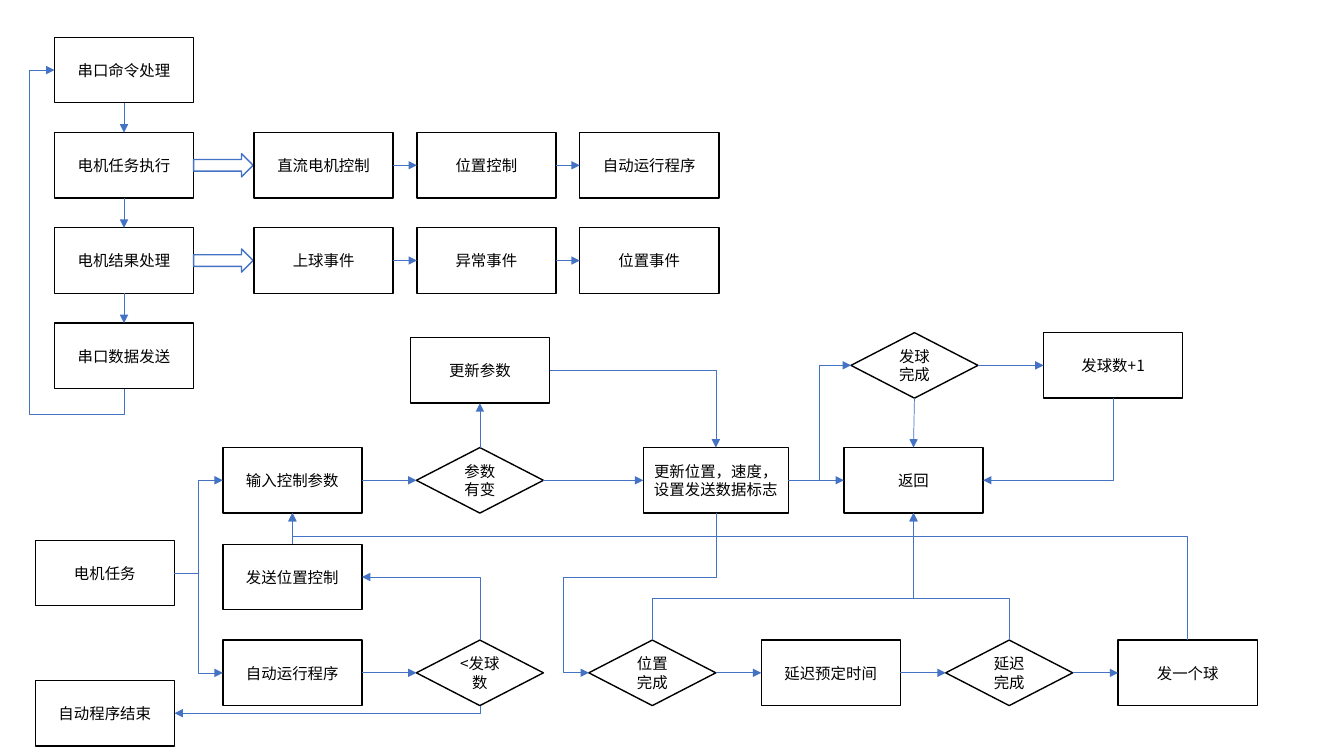
from dataclasses import dataclass

from lxml import etree
from pptx import Presentation
from pptx.dml.color import RGBColor
from pptx.enum.shapes import MSO_CONNECTOR, MSO_SHAPE
from pptx.enum.text import MSO_ANCHOR, PP_ALIGN
from pptx.oxml.ns import qn
from pptx.util import Inches, Pt

RECT, DIAMOND, BLOCK_ARROW = MSO_SHAPE.RECTANGLE, MSO_SHAPE.DIAMOND, MSO_SHAPE.RIGHT_ARROW
STRAIGHT, ELBOW = MSO_CONNECTOR.STRAIGHT, MSO_CONNECTOR.ELBOW
MIDDLE, CENTER = MSO_ANCHOR.MIDDLE, PP_ALIGN.CENTER
TOP, LEFT, BOTTOM, RIGHT = range(4)


@dataclass
class Theme:
    font: str = "Noto Sans CJK SC"
    size: float = 11
    text: str = "000000"
    fill: str = "FFFFFF"
    outline: str = "000000"
    flow: str = "4472C4"
    outline_width: float = 1
    flow_width: float = 0.5


def apply(obj, values):
    for name, value in values.items():
        setattr(obj, name, value)


def site(sp, side):
    dx, dy = {TOP: (1, 0), LEFT: (0, 1), BOTTOM: (1, 2), RIGHT: (2, 1)}[side]
    return sp.left + sp.width * dx // 2, sp.top + sp.height * dy // 2


class FlowSlide:
    def __init__(self, slide, theme):
        self.slide = slide
        self.theme = theme

    def stroke(self, line, color, width):
        line.color.rgb = RGBColor.from_string(color)
        line.width = Pt(width)

    def shape(self, kind, x, y, w, h, color):
        sp = self.slide.shapes.add_shape(kind, Inches(x), Inches(y), Inches(w), Inches(h))
        sp.shadow.inherit = False
        sp.fill.solid()
        sp.fill.fore_color.rgb = RGBColor.from_string(self.theme.fill)
        self.stroke(sp.line, color, self.theme.outline_width)
        return sp

    def node(self, text, x, y, w=1.38, kind=RECT):
        sp = self.shape(kind, x, y, w, 0.65, self.theme.outline)
        tf = sp.text_frame
        apply(tf, {"word_wrap": True, "vertical_anchor": MIDDLE})
        p = tf.paragraphs[0]
        p.alignment = CENTER
        r = p.add_run()
        r.text = text
        apply(r.font, {"name": self.theme.font, "size": Pt(self.theme.size)})
        r.font.color.rgb = RGBColor.from_string(self.theme.text)
        etree.SubElement(r._r.get_or_add_rPr(), qn("a:ea"), typeface=self.theme.font)
        return sp

    def decision(self, text, x, y):
        return self.node(text, x, y, 1.26, DIAMOND)

    def block_arrow(self, x, y):
        return self.shape(BLOCK_ARROW, x, y, 0.59, 0.23, self.theme.flow)

    def connector(self, kind, start, end):
        cxn = self.slide.shapes.add_connector(kind, *start, *end)
        self.stroke(cxn.line, self.theme.flow, self.theme.flow_width)
        etree.SubElement(cxn.line._get_or_add_ln(), qn("a:tailEnd"), type="triangle")
        etree.SubElement(cxn._element.spPr, qn("a:effectLst"))
        return cxn

    def arrow(self, a, b, sides=(RIGHT, LEFT)):
        cxn = self.connector(STRAIGHT, site(a, sides[0]), site(b, sides[1]))
        cxn.begin_connect(a, sides[0])
        cxn.end_connect(b, sides[1])

    def elbow(self, a, b, sides, bends=3, turn=0, adj=()):
        (x1, y1), (x2, y2) = start, end = site(a, sides[0]), site(b, sides[1])
        cxn = self.connector(ELBOW, start, end)
        dx, dy = x2 - x1, y2 - y1
        u, v = {0: (dx, dy), 90: (dy, -dx), 270: (-dy, dx)}[turn]
        apply(cxn, {
            "left": (x1 + x2 - abs(u)) // 2, "top": (y1 + y2 - abs(v)) // 2,
            "width": abs(u), "height": abs(v),
        })
        xfrm = cxn._element.spPr.find(qn("a:xfrm"))
        for name, value in {"rot": turn * 60000, "flipH": int(u < 0), "flipV": int(v < 0)}.items():
            xfrm.set(name, str(value))
        geom = cxn._element.spPr.find(qn("a:prstGeom"))
        geom.set("prst", f"bentConnector{bends}")
        guides = geom.find(qn("a:avLst"))
        for i, share in enumerate(adj, 1):
            name = "adj" if bends == 3 else f"adj{i}"
            name = "adj1" if name == "adj" else name
            etree.SubElement(guides, qn("a:gd"), name=name, fmla=f"val {round(share * 100000)}")


prs = Presentation()
apply(prs, {"slide_width": Inches(13.33), "slide_height": Inches(7.5)})
fs = FlowSlide(prs.slides.add_slide(prs.slide_layouts[6]), Theme())

ROWS = [0.37 + 0.945 * i for i in range(4)]
COLS = [2.52 + 1.615 * i for i in range(3)]
PARAM_Y, AUTO_Y, SHOT_Y = 4.44, 6.35, 3.3
INPUT_X, CHECK_X = 2.21, 4.13

loop = [fs.node(text, 0.54, y)
        for text, y in zip(["串口命令处理", "电机任务执行", "电机结果处理", "串口数据发送"], ROWS)]
for a, b in zip(loop, loop[1:]):
    fs.arrow(a, b, (BOTTOM, TOP))
fs.elbow(loop[-1], loop[0], (BOTTOM, LEFT), 4, 90, (-0.08, 1.36))

DETAILS = [["直流电机控制", "位置控制", "自动运行程序"], ["上球事件", "异常事件", "位置事件"]]
for y, texts in zip(ROWS[1:], DETAILS):
    fs.block_arrow(1.92, y + 0.21)
    chain = [fs.node(text, x, y) for text, x in zip(texts, COLS)]
    for a, b in zip(chain, chain[1:]):
        fs.arrow(a, b)

task = fs.node("电机任务", 0.35, 5.36)
finish = fs.node("自动程序结束", 0.35, 6.75)
inputs = fs.node("输入控制参数", INPUT_X, PARAM_Y)
send = fs.node("发送位置控制", INPUT_X, 5.4)
auto = fs.node("自动运行程序", INPUT_X, AUTO_Y)
changed = fs.decision("参数有变", CHECK_X, PARAM_Y)
fewer = fs.decision("<发球数", CHECK_X, AUTO_Y)
renew = fs.node("更新参数", 4.07, 3.35)
update = fs.node("更新位置，速度，设置发送数据标志", 6.38, PARAM_Y, 1.44)
back = fs.node("返回", 8.37, PARAM_Y)
shot = fs.decision("发球完成", 8.44, SHOT_Y)
count = fs.node("发球数+1", 10.35, SHOT_Y)
placed = fs.decision("位置完成", 5.84, AUTO_Y)
wait = fs.node("延迟预定时间", 7.55, AUTO_Y)
waited = fs.decision("延迟完成", 9.38, AUTO_Y)
serve = fs.node("发一个球", 11.09, AUTO_Y)

for a, b in [(inputs, changed), (changed, update), (update, back), (auto, fewer),
             (placed, wait), (wait, waited), (waited, serve), (shot, count)]:
    fs.arrow(a, b)
for a, b, sides in [(changed, renew, (TOP, BOTTOM)), (send, inputs, (TOP, BOTTOM)),
                    (shot, back, (BOTTOM, TOP))]:
    fs.arrow(a, b, sides)

for a, b, *route in [
    (task, inputs, (RIGHT, LEFT)),
    (task, auto, (RIGHT, LEFT)),
    (update, shot, (RIGHT, LEFT)),
    (renew, update, (RIGHT, TOP), 2),
    (fewer, send, (TOP, RIGHT), 2, 270),
    (fewer, finish, (BOTTOM, RIGHT), 2, 90),
    (count, back, (BOTTOM, RIGHT), 2, 90),
    (update, placed, (BOTTOM, LEFT), 4, 90, (0.4, 1.2)),
    (placed, back, (TOP, BOTTOM), 3, 90, (0.33,)),
    (waited, back, (TOP, BOTTOM), 3, 270, (0.33,)),
    (serve, inputs, (TOP, BOTTOM), 3, 270, (0.82,)),
]:
    fs.elbow(a, b, *route)

prs.save("out.pptx")
